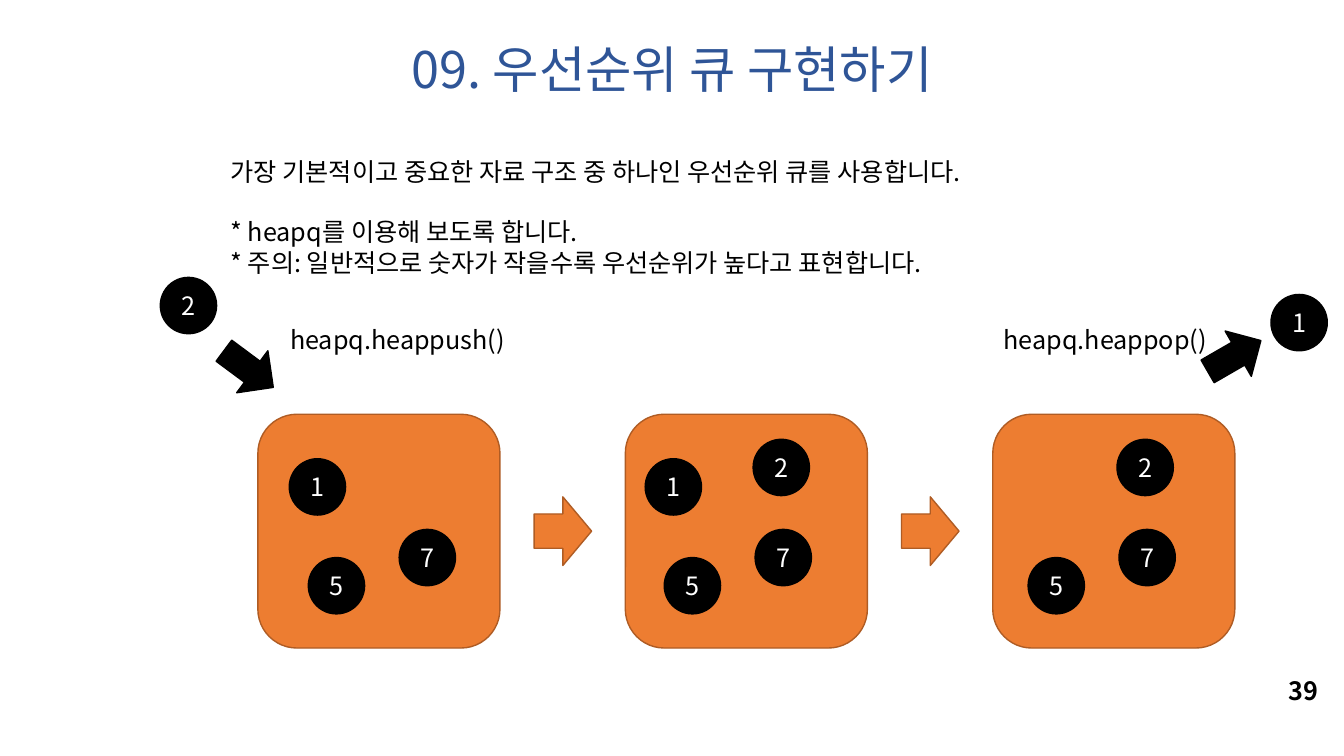
from dataclasses import dataclass

from pptx import Presentation
from pptx.dml.color import RGBColor
from pptx.enum.shapes import MSO_SHAPE
from pptx.enum.text import MSO_ANCHOR, MSO_AUTO_SIZE, PP_ALIGN
from pptx.oxml.ns import qn
from pptx.util import Cm, Pt

ROUND = MSO_SHAPE.ROUNDED_RECTANGLE
ARROW = MSO_SHAPE.RIGHT_ARROW
OVAL = MSO_SHAPE.OVAL
LEFT, CENTER = PP_ALIGN.LEFT, PP_ALIGN.CENTER
TOP, MIDDLE = MSO_ANCHOR.TOP, MSO_ANCHOR.MIDDLE
NO_FIT = MSO_AUTO_SIZE.NONE

FONT = "Noto Sans CJK KR"
BLACK, WHITE = "000000", "FFFFFF"
BLUE, ORANGE, BROWN = "2F5597", "ED7D31", "AF5C24"
BALL = 1.42  # ball diameter, cm


@dataclass
class Box:
    x: float
    y: float
    w: float
    h: float

    def place(self) -> tuple:
        return Cm(self.x), Cm(self.y), Cm(self.w), Cm(self.h)


@dataclass
class Queue:
    x: float      # left of the panel
    balls: float  # left of its group of balls
    items: str


@dataclass
class Move:
    label: str
    text: Box
    item: str
    ball: tuple
    arrow: Box
    turn: float


def color(code: str) -> RGBColor:
    return RGBColor.from_string(code)


def write(shape, text: str, *, size: float = 18, fill: str = BLACK,
          bold: bool = False, align=LEFT, anchor=TOP,
          wrap: bool = True, gap: float = 0) -> None:
    """Fill a shape with lines of text; gap is the space after the first."""
    frame = shape.text_frame
    frame.text = text
    frame.word_wrap = wrap
    frame.auto_size = NO_FIT
    frame.vertical_anchor = anchor
    for line in frame.paragraphs:
        line.alignment = align
        for run in line.runs:
            font = run.font
            font.name, font.size, font.bold = FONT, Pt(size), bold
            font.color.rgb = color(fill)
            east = font._element.makeelement(qn("a:ea"), {"typeface": FONT})
            font._element.find(qn("a:latin")).addnext(east)
    if gap:
        frame.paragraphs[0].space_after = Pt(gap)


def label(slide, box: Box, text: str, **style) -> None:
    write(slide.shapes.add_textbox(*box.place()), text, **style)


def draw(slide, kind, box: Box, fill: str, edge: str, turn: float = 0):
    shape = slide.shapes.add_shape(kind, *box.place())
    shape.shadow.inherit = False
    shape.fill.solid()
    shape.fill.fore_color.rgb = color(fill)
    shape.line.color.rgb = color(edge)
    shape.line.width = Pt(1)
    shape.rotation = turn
    return shape


def ball(slide, x: float, y: float, text: str) -> None:
    shape = draw(slide, OVAL, Box(x, y, BALL, BALL), BLACK, BLACK)
    write(shape, text, fill=WHITE, align=CENTER, anchor=MIDDLE)


INTRO = """가장 기본적이고 중요한 자료 구조 중 하나인 우선순위 큐를 사용합니다.
* heapq를 이용해 보도록 합니다.
* 주의: 일반적으로 숫자가 작을수록 우선순위가 높다고 표현합니다."""

# Place of each item in a group of balls: shift from its left, and top
SPOTS = {"1": (0, 11.56), "7": (2.77, 13.34),
         "5": (0.48, 14.05), "2": (2.72, 11.07)}

STEP = 9.26  # from one panel to the next
QUEUES = [Queue(6.5, 7.29, "175"),
          Queue(6.5 + STEP, 16.26, "1752"),
          Queue(6.5 + 2 * STEP, 25.43, "752")]

MOVES = [
    Move("heapq.heappush()", Box(7.06, 8.05, 6.4, 1.02),
         "2", (4.04, 6.99), Box(5.49, 8.64, 1.55, 1.32), 36.6),
    Move("heapq.heappop()", Box(25.04, 8.05, 6.4, 1.02),
         "1", (32.03, 7.42), Box(30.33, 8.31, 1.55, 1.32), 330),
]


def main() -> None:
    deck = Presentation()
    deck.slide_width, deck.slide_height = Cm(33.87), Cm(19.05)
    slide = deck.slides.add_slide(deck.slide_layouts[5])

    # Title, introduction and page number
    title = slide.shapes.title
    title.left, title.top, title.width, title.height = Box(
        0, 0.84, 33.87, 1.8).place()
    write(title, "09. 우선순위 큐 구현하기", size=36, fill=BLUE, align=CENTER)
    label(slide, Box(5.56, 3.81, 28.3, 3.33), INTRO, gap=21.6)
    label(slide, Box(32.23, 16.89, 1.35, 1.02), "39", bold=True, wrap=False)

    # Queue states, with an arrow before each one but the first
    for queue in QUEUES:
        draw(slide, ROUND, Box(queue.x, 10.44, 6.1, 5.89), ORANGE, BROWN)
        if queue is not QUEUES[0]:
            draw(slide, ARROW, Box(queue.x - 2.3, 12.52, 1.45, 1.73),
                 ORANGE, BROWN)
        for item in queue.items:
            dx, y = SPOTS[item]
            ball(slide, queue.balls + dx, y, item)

    # Push and pop
    for move in MOVES:
        label(slide, move.text, move.label)
        ball(slide, *move.ball, move.item)
        draw(slide, ARROW, move.arrow, BLACK, BLACK, move.turn)

    deck.save("out.pptx")


if __name__ == "__main__":
    main()
